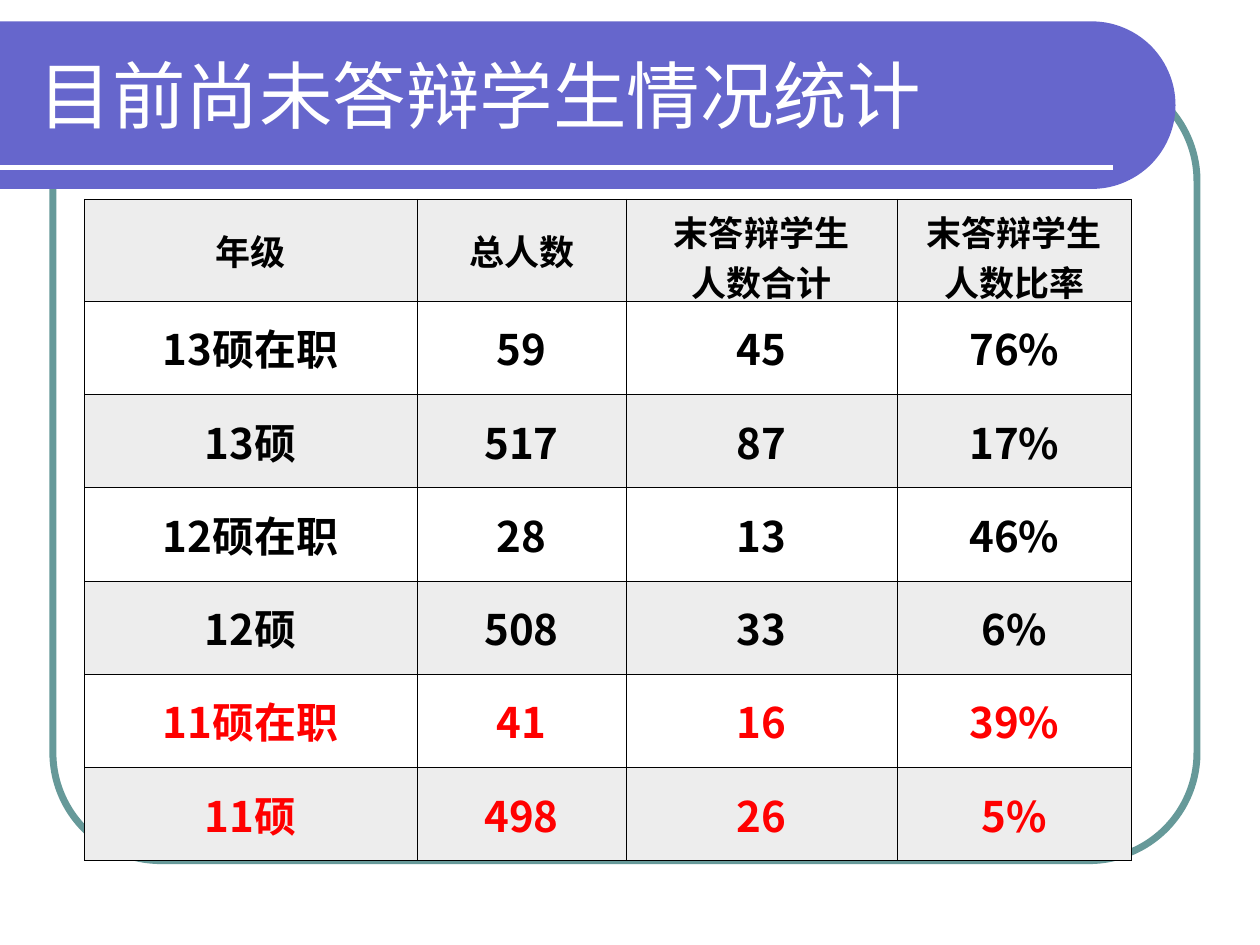
from math import cos, pi, sin

from lxml.etree import SubElement
from pptx import Presentation
from pptx.dml.color import RGBColor
from pptx.enum.shapes import MSO_CONNECTOR as Connector, MSO_SHAPE as Shape
from pptx.enum.text import MSO_ANCHOR as Anchor, PP_ALIGN as Align
from pptx.oxml.ns import qn
from pptx.util import Inches, Pt

TITLE = "目前尚未答辩学生情况统计"
HEADER = ("年级", "总人数", "末答辩学生\n人数合计", "末答辩学生\n人数比率")
ROWS = [
    ("13硕在职", "59", "45", "76%"),
    ("13硕", "517", "87", "17%"),
    ("12硕在职", "28", "13", "46%"),
    ("12硕", "508", "33", "6%"),
    ("11硕在职", "41", "16", "39%"),
    ("11硕", "498", "26", "5%"),
]
COLUMN_WIDTHS = (2.64, 1.66, 2.15, 1.86)
HEADER_HEIGHT, ROW_HEIGHT = 0.81, 0.74
BANNER_TOP, BANNER_BOTTOM, BANNER_RIGHT = 0.17, 1.5, 9.33
CJK_FONT = "Noto Sans CJK SC"


def color(value):
    return RGBColor.from_string(value)


def style_text(frame, size, value, latin, bold=False, align=Align.LEFT):
    for para in frame.paragraphs:
        para.alignment = align
        for span in para.runs:
            span.font.size = Pt(size)
            span.font.bold = bold
            span.font.color.rgb = color(value)
            span.font.name = latin
            east_asian = SubElement(span.font._element, qn("a:ea"))
            east_asian.set("typeface", CJK_FONT)


def add_frame(page):
    frame = page.shapes.add_shape(
        Shape.ROUNDED_RECTANGLE, Inches(0.42), Inches(0.58), Inches(9.08), Inches(6.25))
    frame.adjustments[0] = 0.137
    frame.shadow.inherit = False
    frame.fill.background()
    frame.line.color.rgb = color("669999")
    frame.line.width = Pt(4)


def add_banner(page):
    radius = (BANNER_BOTTOM - BANNER_TOP) / 2
    center_x, center_y = BANNER_RIGHT - radius, BANNER_TOP + radius
    steps = 60
    angles = [pi * step / steps - pi / 2 for step in range(steps + 1)]
    arc = [(Inches(center_x + radius * cos(angle)), Inches(center_y + radius * sin(angle)))
           for angle in angles]
    builder = page.shapes.build_freeform(0, Inches(BANNER_TOP))
    builder.add_line_segments(arc + [(0, Inches(BANNER_BOTTOM))], close=True)
    banner = builder.convert_to_shape()
    banner.shadow.inherit = False
    banner.fill.solid()
    banner.fill.fore_color.rgb = color("6666CC")
    banner.line.fill.background()

    rule = page.shapes.add_connector(
        Connector.STRAIGHT, 0, Inches(1.33), Inches(8.83), Inches(1.33))
    rule.line.color.rgb = color("FFFFFF")
    rule.line.width = Pt(3)
    SubElement(rule._element.spPr, qn("a:effectLst"))


def add_title(page):
    box = page.shapes.add_textbox(Inches(0.21), Inches(0.25), Inches(8.77), Inches(1))
    box.text_frame.word_wrap = True
    box.text_frame.vertical_anchor = Anchor.MIDDLE
    box.text_frame.text = TITLE
    style_text(box.text_frame, 42, "FFFFFF", "Arial")


def style_cell(cell, shaded):
    cell.vertical_anchor = Anchor.MIDDLE
    properties = cell._tc.get_or_add_tcPr()
    for side in ("lnL", "lnR", "lnT", "lnB"):
        border = SubElement(properties, qn(f"a:{side}"), w=str(Pt(0.23)))
        paint = SubElement(border, qn("a:solidFill"))
        SubElement(paint, qn("a:srgbClr"), val="000000")
    if shaded:
        cell.fill.solid()
        cell.fill.fore_color.rgb = color("EDEDED")
    else:
        cell.fill.background()


def add_statistics(page):
    records = [HEADER] + ROWS
    heights = [HEADER_HEIGHT] + [ROW_HEIGHT] * len(ROWS)
    table = page.shapes.add_table(
        len(records), len(HEADER), Inches(0.67), Inches(1.58),
        Inches(sum(COLUMN_WIDTHS)), Inches(sum(heights))).table
    for column, width in zip(table.columns, COLUMN_WIDTHS):
        column.width = Inches(width)
    for row, height in zip(table.rows, heights):
        row.height = Inches(height)
    for row_index, record in enumerate(records):
        size = 24 if row_index else 20
        ink = "FF0000" if record[0].startswith("11") else "000000"
        for column_index, text in enumerate(record):
            cell = table.cell(row_index, column_index)
            cell.text_frame.text = text
            style_text(cell.text_frame, size, ink, CJK_FONT, True, Align.CENTER)
            style_cell(cell, row_index % 2 == 0)


def main():
    deck = Presentation()
    deck.slide_width, deck.slide_height = Inches(10), Inches(7.5)
    page = deck.slides.add_slide(deck.slide_layouts[6])
    add_frame(page)
    add_banner(page)
    add_title(page)
    add_statistics(page)
    deck.save("out.pptx")


if __name__ == "__main__":
    main()
